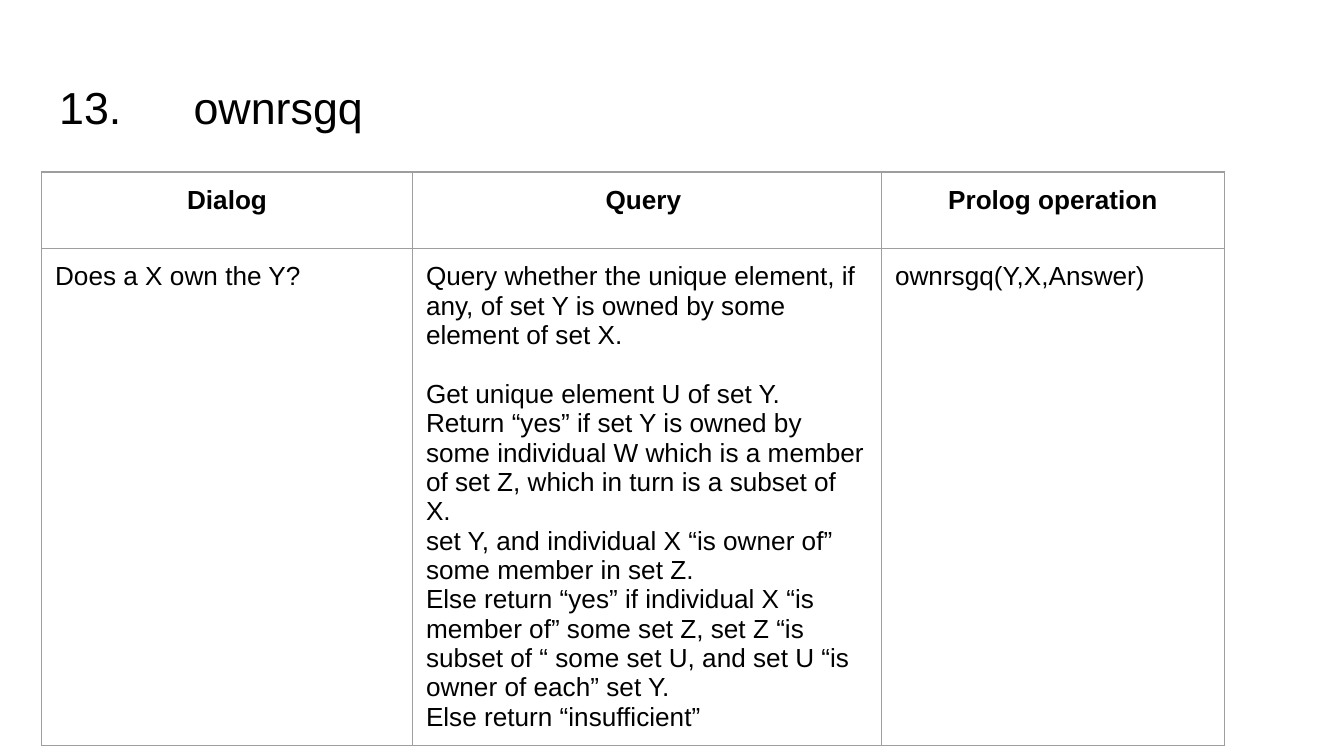
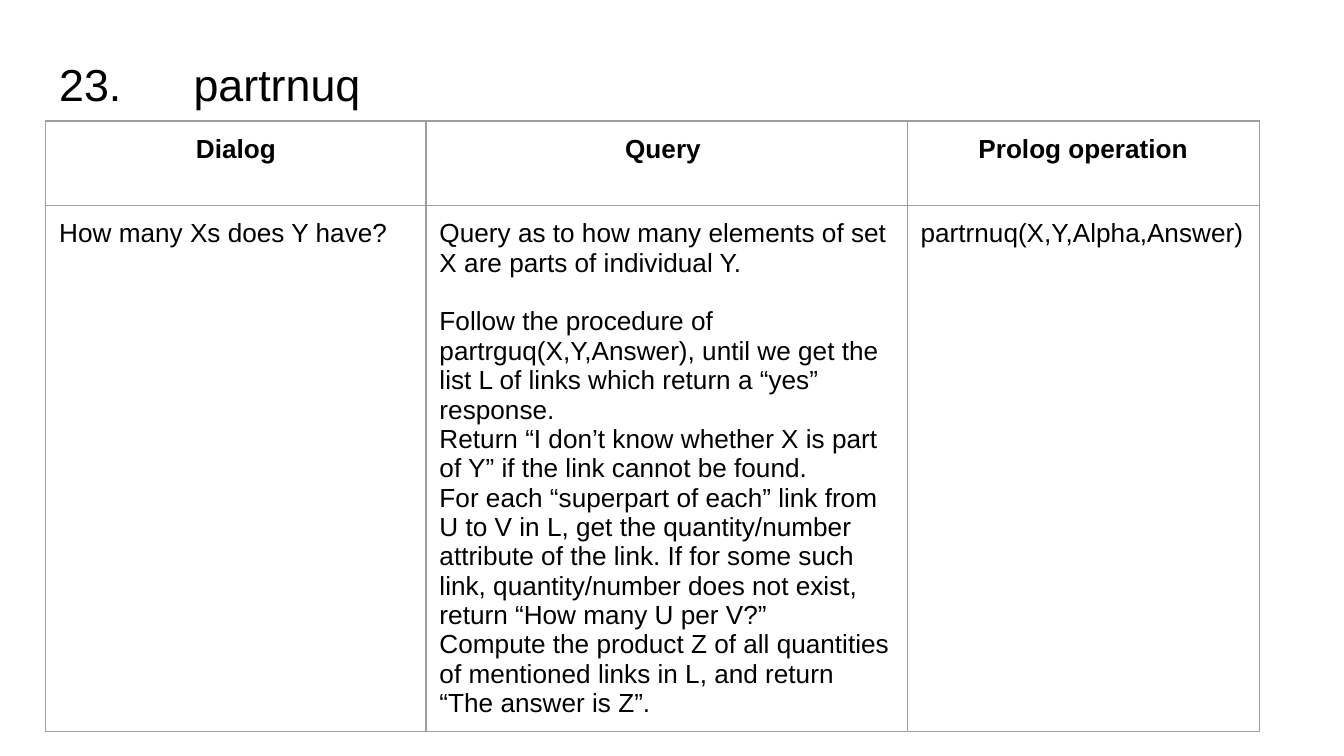
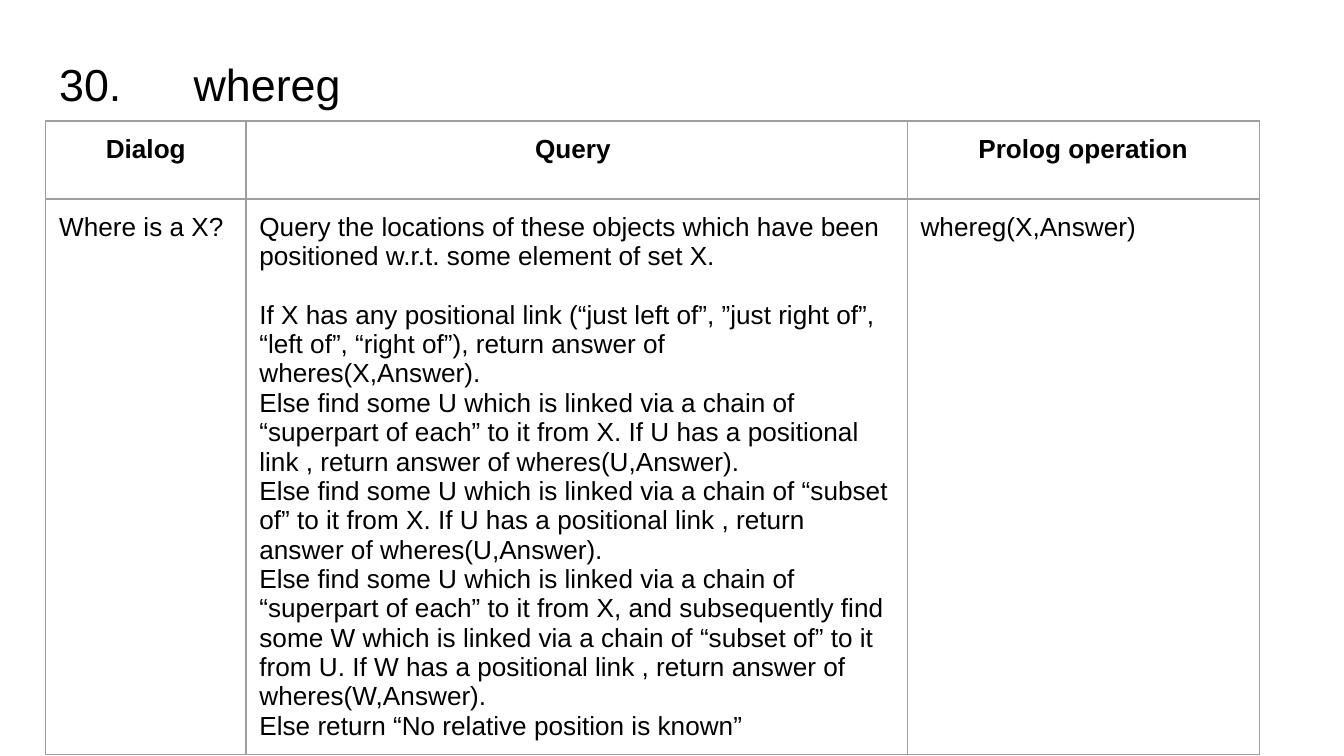
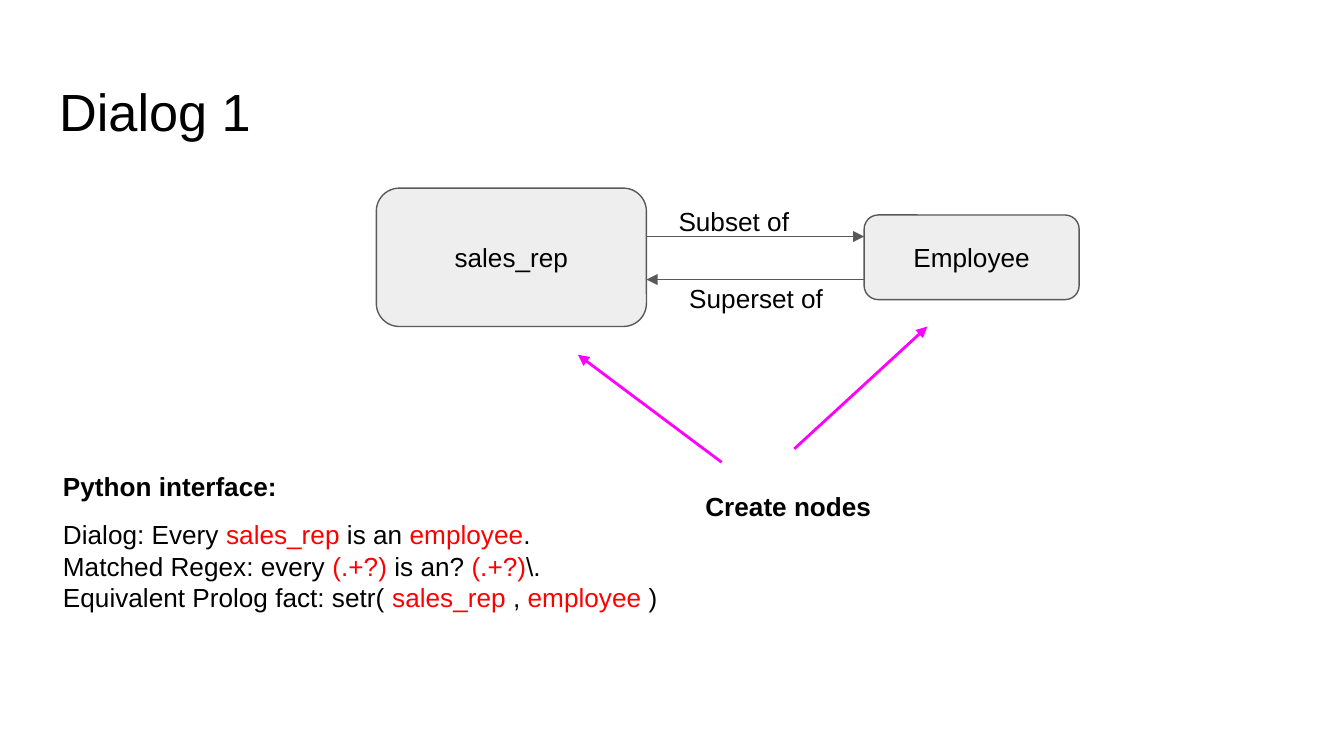
from pptx import Presentation
from pptx.dml.color import RGBColor
from pptx.enum.shapes import MSO_CONNECTOR, MSO_SHAPE
from pptx.enum.text import MSO_ANCHOR, MSO_AUTO_SIZE, PP_ALIGN
from pptx.oxml.ns import qn
from pptx.util import Inches, Pt
from lxml import etree

BLACK = RGBColor(0x00, 0x00, 0x00)
RED = RGBColor(0xFF, 0x00, 0x00)
MAGENTA = RGBColor(0xFF, 0x00, 0xFF)
NODE_FILL = RGBColor(0xEE, 0xEE, 0xEE)
NODE_LINE = RGBColor(0x59, 0x59, 0x59)
BORDER = RGBColor(0x9E, 0x9E, 0x9E)

LEFT, CENTER = PP_ALIGN.LEFT, PP_ALIGN.CENTER
TOP, MIDDLE = MSO_ANCHOR.TOP, MSO_ANCHOR.MIDDLE
NO_AUTOFIT = MSO_AUTO_SIZE.NONE
ROUNDED = MSO_SHAPE.ROUNDED_RECTANGLE
STRAIGHT = MSO_CONNECTOR.STRAIGHT

FONT = "Arial"
BODY_SIZE = 14
INSET = Inches(0.1)
TITLE_TAB = Inches(1)
SLIDE_WIDTH = Inches(10)
SLIDE_HEIGHT = SLIDE_WIDTH * 9 // 16
TITLE_ONLY = 5
HEADERS = ("Dialog", "Query ", "Prolog operation")

OPERATIONS = [
    dict(
        title="13.\townrsgq", title_top=0.49, at=(0.31, 1.28),
        cols=(2.76, 3.49, 2.55), rows=(0.57, 1.13, 1.13, 1.13),
        dialog="Does a X own the Y?",
        query=[
            "Query whether the unique element, if any, of set Y is owned by some element of set X.",
            "Get unique element U of set Y.",
            "Return “yes” if set Y is owned by some individual W which is a member of set Z, "
            "which in turn is a subset of X.",
            "set Y, and individual X “is owner of” some member in set Z.",
            "Else return “yes” if individual X “is member of” some set Z, set Z “is subset of “ "
            "some set U, and set U “is owner of each” set Y.",
            "Else return “insufficient”",
        ],
        operation="ownrsgq(Y,X,Answer)",
    ),
    dict(
        title="23.\tpartrnuq", title_top=0.32, at=(0.34, 0.9),
        cols=(2.83, 3.58, 2.62), rows=(0.63, 1.25, 1.25, 1.26),
        dialog="How many Xs does Y have?",
        query=[
            "Query as to how many elements of set X are parts of individual Y.",
            "Follow the procedure of partrguq(X,Y,Answer), until we get the list L of links "
            "which return a “yes” response.",
            "Return “I don’t know whether X is part of Y” if the link cannot be found.",
            "For each “superpart of each” link from U to V in L, get the quantity/number "
            "attribute of the link. If for some such link, quantity/number does not exist, "
            "return “How many U per V?”",
            "Compute the product Z of all quantities of mentioned links in L, and return "
            "“The answer is Z”.",
        ],
        operation="partrnuq(X,Y,Alpha,Answer)",
    ),
    dict(
        title="30.\twhereg", title_top=0.32, at=(0.34, 0.9),
        cols=(1.49, 4.92, 2.62), rows=(0.58, 3.47),
        dialog="Where is a X?",
        query=[
            "Query the locations of these objects which have been positioned w.r.t. some "
            "element of set X.",
            "If X has any positional link (“just left of”, ”just right of”, “left of”, "
            "“right of”), return answer of wheres(X,Answer).",
            "Else find some U which is linked via a chain of “superpart of each” to it from X. "
            "If U has a positional link , return answer of wheres(U,Answer).",
            "Else find some U which is linked via a chain of “subset of” to it from X. "
            "If U has a positional link , return answer of wheres(U,Answer).",
            "Else find some U which is linked via a chain of “superpart of each” to it from X, "
            "and subsequently find some W which is linked via a chain of “subset of” to it "
            "from U. If W has a positional link , return answer of wheres(W,Answer).",
            "Else return “No relative position is known”",
        ],
        operation="whereg(X,Answer)",
    ),
]

INTERFACE_LINES = [
    [("Dialog: Every ", BLACK), ("sales_rep", RED), (" is an ", BLACK),
     ("employee", RED), (".", BLACK)],
    [("Matched Regex: every ", BLACK), ("(.+?) ", RED), ("is an? ", BLACK),
     ("(.+?)", RED), ("\\.", BLACK)],
    [("Equivalent Prolog fact: setr( ", BLACK), ("sales_rep ", RED), (", ", BLACK),
     ("employee ", RED), (")", BLACK)],
]


def format_run(r, size=BODY_SIZE, color=BLACK, bold=False):
    r.font.name = FONT
    r.font.size = Pt(size)
    r.font.color.rgb = color
    r.font.bold = bold


def format_text(tf, align=LEFT, **font):
    for p in tf.paragraphs:
        p.alignment = align
        for r in p.runs:
            format_run(r, **font)


def set_insets(obj):
    obj.margin_left = obj.margin_right = obj.margin_top = obj.margin_bottom = INSET


def place(sp, box):
    sp.left, sp.top, sp.width, sp.height = (Inches(v) for v in box)


def prepare_frame(tf, anchor=TOP):
    set_insets(tf)
    tf.word_wrap = True
    tf.auto_size = NO_AUTOFIT
    tf.vertical_anchor = anchor


def set_tab_stop(p, position):
    tabs = etree.SubElement(p._p.get_or_add_pPr(), qn("a:tabLst"))
    etree.SubElement(tabs, qn("a:tab"), pos=str(position), algn="l")


def add_titled_slide(prs, title, top, size):
    s = prs.slides.add_slide(prs.slide_layouts[TITLE_ONLY])
    sp = s.shapes.title
    place(sp, (0.34, top, 9.32, 0.63))
    tf = sp.text_frame
    tf.text = title
    prepare_frame(tf)
    format_text(tf, size=size)
    if "\t" in title:
        set_tab_stop(tf.paragraphs[0], TITLE_TAB)
    return s


def set_borders(cell):
    tcPr = cell._tc.get_or_add_tcPr()
    for side in ("lnL", "lnR", "lnT", "lnB"):
        ln = etree.SubElement(tcPr, qn(f"a:{side}"), w=str(Pt(0.75)))
        fill = etree.SubElement(ln, qn("a:solidFill"))
        etree.SubElement(fill, qn("a:srgbClr"), val=str(BORDER))


def add_operation_table(s, at, cols, rows, dialog, query, operation):
    box = (*at, sum(cols), sum(rows))
    table = s.shapes.add_table(len(rows), len(cols), *(Inches(v) for v in box)).table
    table.first_row = table.horz_banding = False
    for column, width in zip(table.columns, cols):
        column.width = Inches(width)
    for row, height in zip(table.rows, rows):
        row.height = Inches(height)
    for cell in table.iter_cells():
        set_borders(cell)
        cell.fill.background()
        set_insets(cell)
    for i, (header, body) in enumerate(zip(HEADERS, (dialog, "\n".join(query), operation))):
        head_cell, body_cell = table.cell(0, i), table.cell(1, i)
        head_cell.text_frame.text = header
        format_text(head_cell.text_frame, CENTER, bold=True)
        if len(rows) > 2:
            body_cell.merge(table.cell(len(rows) - 1, i))
        body_cell.text_frame.text = body
        format_text(body_cell.text_frame)
    table.cell(1, 1).text_frame.paragraphs[0].space_after = Pt(15.75)


def add_label(s, box, text, bold=False):
    sp = s.shapes.add_textbox(*(Inches(v) for v in box))
    prepare_frame(sp.text_frame)
    sp.text_frame.text = text
    format_text(sp.text_frame, bold=bold)


def add_colored_lines(s, box, lines):
    tf = s.shapes.add_textbox(*(Inches(v) for v in box)).text_frame
    prepare_frame(tf)
    for i, line in enumerate(lines):
        p = tf.add_paragraph() if i else tf.paragraphs[0]
        for text, color in line:
            r = p.add_run()
            r.text = text
            format_run(r, color=color)


def add_node(s, box, text):
    sp = s.shapes.add_shape(ROUNDED, *(Inches(v) for v in box))
    sp.shadow.inherit = False
    sp.fill.solid()
    sp.fill.fore_color.rgb = NODE_FILL
    sp.line.color.rgb = NODE_LINE
    sp.line.width = Pt(0.75)
    prepare_frame(sp.text_frame, MIDDLE)
    sp.text_frame.text = text
    format_text(sp.text_frame, CENTER)


def add_arrow(s, start, end, color=NODE_LINE, width=0.75):
    c = s.shapes.add_connector(STRAIGHT, *(Inches(v) for v in (*start, *end)))
    c.line.color.rgb = color
    c.line.width = Pt(width)
    etree.SubElement(c.line._get_or_add_ln(), qn("a:tailEnd"), type="triangle")
    etree.SubElement(c._element.spPr, qn("a:effectLst"))


def add_dialog_slide(prs):
    s = add_titled_slide(prs, "Dialog 1", 0.49, 28)
    add_node(s, (2.8, 1.4, 2.01, 1.03), "sales_rep")
    add_node(s, (6.43, 1.6, 1.6, 0.63), "Employee")
    add_arrow(s, (4.81, 1.76), (6.43, 1.76))
    add_arrow(s, (6.43, 2.08), (4.81, 2.08))
    add_label(s, (4.95, 1.43, 1.35, 0.36), "Subset of")
    add_label(s, (5.03, 2, 1.35, 0.36), "Superset of")
    add_colored_lines(s, (0.37, 3.76, 5.31, 1.03), INTERFACE_LINES)
    add_label(s, (0.37, 3.4, 2.01, 0.36), "Python interface:", bold=True)
    add_arrow(s, (5.37, 3.44), (4.3, 2.64), MAGENTA, 1.5)
    add_arrow(s, (5.91, 3.34), (6.9, 2.43), MAGENTA, 1.5)
    add_label(s, (5.15, 3.55, 1.53, 0.47), "Create nodes", bold=True)


def main():
    prs = Presentation()
    prs.slide_width, prs.slide_height = SLIDE_WIDTH, SLIDE_HEIGHT
    for op in OPERATIONS:
        s = add_titled_slide(prs, op["title"], op["title_top"], 24)
        add_operation_table(s, op["at"], op["cols"], op["rows"],
                            op["dialog"], op["query"], op["operation"])
    add_dialog_slide(prs)
    prs.save("out.pptx")


if __name__ == "__main__":
    main()
